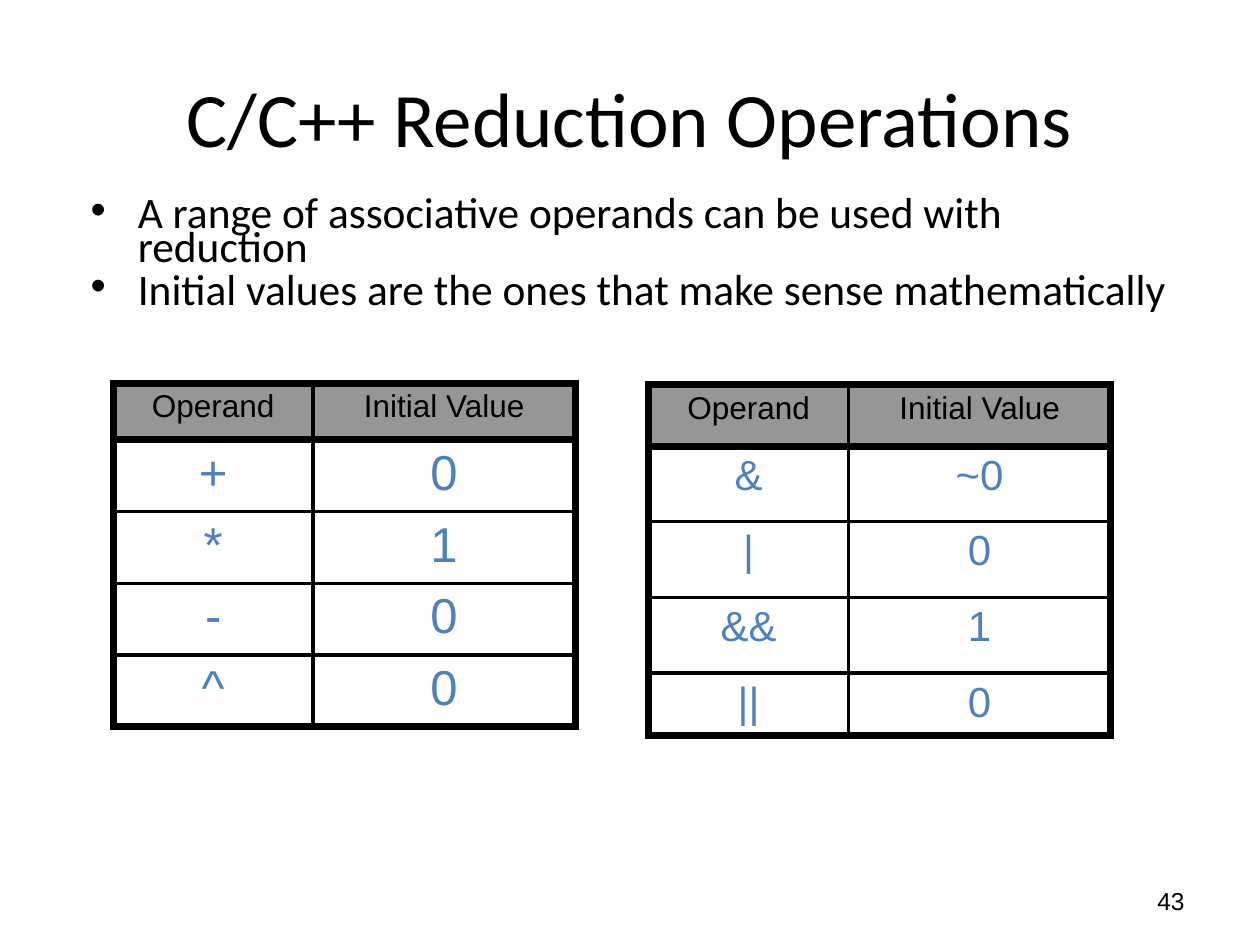
from lxml import etree
from pptx import Presentation
from pptx.dml.color import RGBColor
from pptx.enum import text
from pptx.oxml.ns import qn
from pptx.util import Pt

BLACK, WHITE, GRAY, BLUE = "000000", "FFFFFF", "969696", "4F81BD"
THICK, THIN = 4.5, 2.25
LEFT, CENTER, RIGHT = (text.PP_ALIGN.LEFT, text.PP_ALIGN.CENTER,
                       text.PP_ALIGN.RIGHT)


def color(value):
    return RGBColor.from_string(value)


def write(para, words, size, font="Calibri", ink=BLACK, align=LEFT):
    para.alignment = align
    span = para.add_run()
    span.text = words
    span.font.size = Pt(size)
    span.font.name = font
    span.font.color.rgb = color(ink)


def add_frame(page, box, anchor=text.MSO_ANCHOR.TOP):
    frame = page.shapes.add_textbox(*map(Pt, box)).text_frame
    frame.word_wrap = True
    frame.vertical_anchor = anchor
    return frame


def add_line(page, box, words, size, **style):
    """Add one paragraph, centred vertically in the box."""
    frame = add_frame(page, box, text.MSO_ANCHOR.MIDDLE)
    write(frame.paragraphs[0], words, size, **style)


def add_bullets(page, box, items):
    frame = add_frame(page, box)
    for index, item in enumerate(items):
        para = frame.add_paragraph() if index else frame.paragraphs[0]
        write(para, item, 24.8)
        para.line_spacing = 0.65
        para.space_before = Pt(5)
        props = para._p.get_or_add_pPr()
        props.set("marL", str(Pt(27)))
        props.set("indent", str(Pt(-27)))
        etree.SubElement(props, qn("a:buFont"), typeface="Arial")
        etree.SubElement(props, qn("a:buChar"), char="•")


def set_borders(cell, widths):
    """Draw black borders; widths are left, right, top, bottom."""
    props = cell._tc.get_or_add_tcPr()
    for index, (side, width) in enumerate(zip("LRTB", widths)):
        line = etree.Element(qn(f"a:ln{side}"), w=str(Pt(width)))
        fill = etree.SubElement(line, qn("a:solidFill"))
        etree.SubElement(fill, qn("a:srgbClr"), val=BLACK)
        props.insert(index, line)


def add_operand_table(page, box, heights, values, size):
    rows = [("Operand", "Initial Value"), *values]
    table = page.shapes.add_table(len(rows), 2, *map(Pt, box)).table
    table.columns[0].width = Pt(114)
    table.columns[1].width = Pt(box[2] - 114)
    last = len(rows) - 1
    for r, (height, row) in enumerate(zip(heights, rows)):
        table.rows[r].height = Pt(height)
        for c, words in enumerate(row):
            cell = table.cell(r, c)
            cell.fill.solid()
            cell.fill.fore_color.rgb = color(WHITE if r else GRAY)
            write(cell.text_frame.paragraphs[0], words, size if r else 18,
                  font="Arial", ink=BLUE if r else BLACK, align=CENTER)
            set_borders(cell, (THIN if c else THICK,
                               THICK if c else THIN,
                               THICK if r <= 1 else THIN,
                               THICK if r in (0, last) else THIN))


def main():
    deck = Presentation()
    deck.slide_width, deck.slide_height = Pt(720), Pt(540)
    page = deck.slides.add_slide(deck.slide_layouts[6])
    add_line(page, (516, 500.4, 168, 28.8), "43", 14, font="Arial",
             align=RIGHT)
    add_bullets(page, (44.64, 111.6, 630, 95), [
        "A range of associative operands can be used with reduction",
        "Initial values are the ones that make sense mathematically",
    ])
    add_line(page, (36, 21.6, 648, 90), "C/C++ Reduction Operations", 44,
             align=CENTER)
    add_operand_table(page, (64.8, 218.9, 264, 196.4), [32.4] + [41] * 4,
                      [("+", "0"), ("*", "1"), ("-", "0"), ("^", "0")], 28)
    add_operand_table(page, (370.8, 219.6, 264, 200.9),
                      [35.3] + [43.2] * 3 + [26.6],
                      [("&", "~0"), ("|", "0"), ("&&", "1"), ("||", "0")], 24)
    deck.save("out.pptx")


if __name__ == "__main__":
    main()
